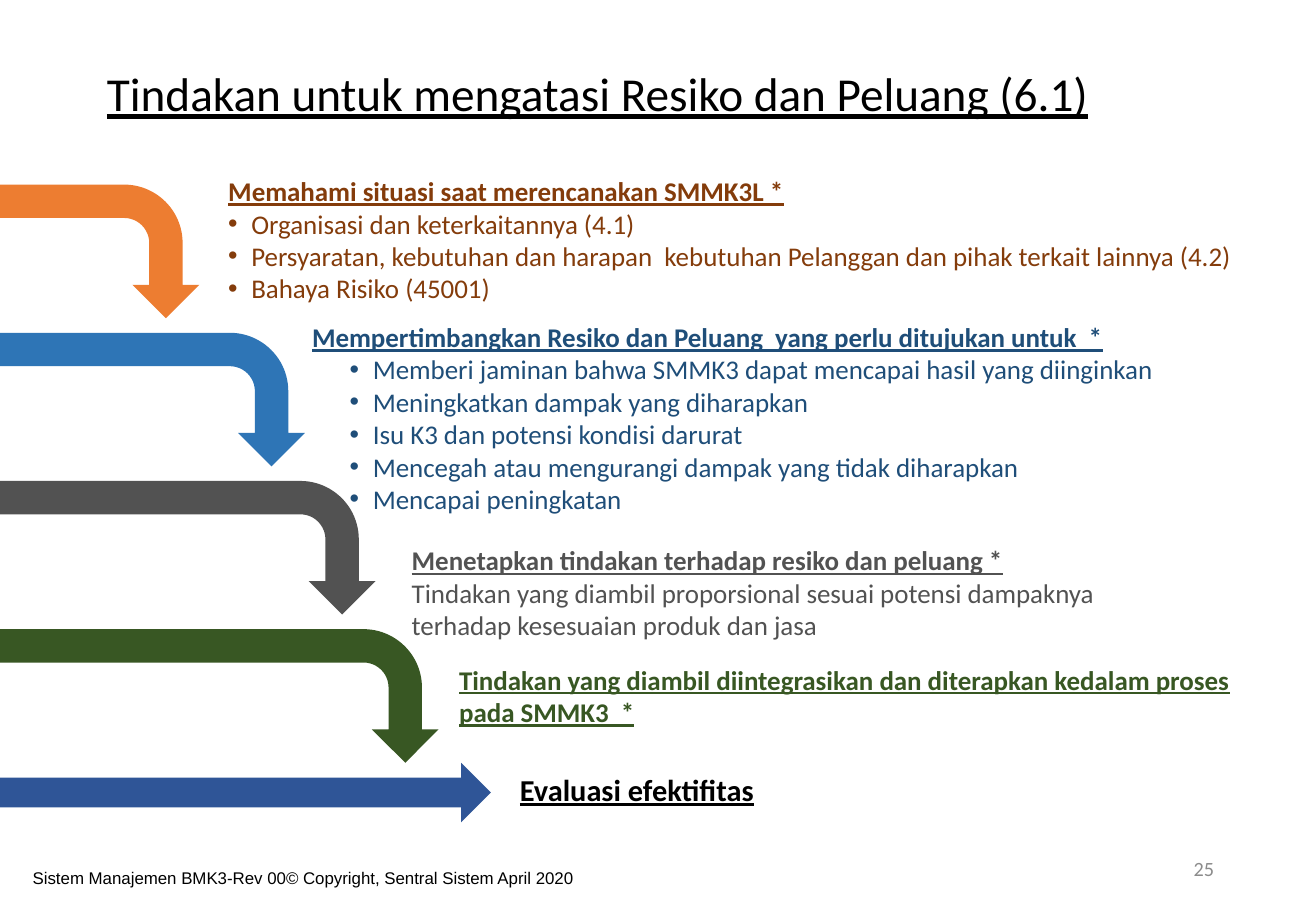
from pptx import Presentation
from pptx.dml.color import RGBColor
from pptx.enum.shapes import MSO_SHAPE
from pptx.enum.text import MSO_ANCHOR, PP_ALIGN
from pptx.util import Inches, Pt
from lxml import etree

BENT, RIGHT_ARROW = MSO_SHAPE.BENT_ARROW, MSO_SHAPE.RIGHT_ARROW
MIDDLE, LEFT, RIGHT = MSO_ANCHOR.MIDDLE, PP_ALIGN.LEFT, PP_ALIGN.RIGHT
A = "{http://schemas.openxmlformats.org/drawingml/2006/main}"
BULLET_HANG = 0.19
ARROW_TOP, ARROW_PITCH, ARROW_HEIGHT = 1.52, 1.22, 1.1


def rgb(color):
    return RGBColor.from_string(color)


def write(tf, lines, size, color, font="Calibri", heading=True, indent=0):
    """Fill a frame; the first line may be a heading, an indent bullets the rest."""
    tf.word_wrap = True
    tf.text = "\n".join(lines)
    for i, p in enumerate(tf.paragraphs):
        if indent and i:
            pPr = p._p.get_or_add_pPr()
            pPr.set("marL", str(Inches(indent)))
            pPr.set("indent", str(-Inches(BULLET_HANG)))
            etree.SubElement(pPr, A + "buFont", typeface="Arial")
            etree.SubElement(pPr, A + "buChar", char="•")
        for r in p.runs:
            r.font.name, r.font.size = font, Pt(size)
            r.font.color.rgb = rgb(color)
            r.font.bold = r.font.underline = heading and i == 0


prs = Presentation()
prs.slide_width, prs.slide_height = Inches(10.83), Inches(7.5)
s = prs.slides.add_slide(prs.slide_layouts[5])

# Title
title = s.shapes.title
title.left, title.top, title.width, title.height = map(Inches, (0.78, 0.17, 9, 1.25))
tf = title.text_frame
tf.vertical_anchor = MIDDLE
write(tf, ["Tindakan untuk mengatasi Resiko dan Peluang (6.1)"], 28, "000000")
p = tf.paragraphs[0]
p.alignment, p.line_spacing = LEFT, 0.9
p.runs[0].font.bold = False

# Steps: left, top, width, height, size, colour, bullet indent, lines
steps = [
    (1.78, 1.39, 9.05, 1.18, 16, "843C0B", 0.19, [
        "Memahami situasi saat merencanakan SMMK3L *",
        "Organisasi dan keterkaitannya (4.1)",
        "Persyaratan, kebutuhan dan harapan  kebutuhan Pelanggan dan pihak terkait lainnya (4.2)",
        "Bahaya Risiko (45001)"]),
    (2.47, 2.59, 7.43, 1.72, 16, "1F4E79", 0.5, [
        "Mempertimbangkan Resiko dan Peluang  yang perlu ditujukan untuk  *",
        "Memberi jaminan bahwa SMMK3 dapat mencapai hasil yang diinginkan",
        "Meningkatkan dampak yang diharapkan",
        "Isu K3 dan potensi kondisi darurat",
        "Mencegah atau mengurangi dampak yang tidak diharapkan",
        "Mencapai peningkatan"]),
    (3.29, 4.43, 6.93, 0.94, 16, "525252", 0, [
        "Menetapkan tindakan terhadap resiko dan peluang *",
        "Tindakan yang diambil proporsional sesuai potensi dampaknya",
        "terhadap kesesuaian produk dan jasa"]),
    (3.68, 5.41, 6.9, 0.64, 16, "385723", 0, [
        "Tindakan yang diambil diintegrasikan dan diterapkan kedalam proses pada SMMK3  *"]),
    (4.18, 6.3, 2.15, 0.4, 18, "000000", 0, ["Evaluasi efektifitas"]),
]
for *box, size, color, indent, lines in steps:
    tf = s.shapes.add_textbox(*map(Inches, box)).text_frame
    write(tf, lines, size, color, indent=indent)

# Arrows: each bent one is turned a quarter, so its length runs from the left edge
arrows = []
for i, (length, color) in enumerate([(1.64, "ED7D31"), (2.51, "2E75B6"),
                                     (3.09, "525252"), (3.61, "385723")]):
    middle = ARROW_TOP + i * ARROW_PITCH + ARROW_HEIGHT / 2
    arrows.append((BENT, (length - ARROW_HEIGHT) / 2, middle - length / 2,
                   ARROW_HEIGHT, length, 90, color))
arrows.append((RIGHT_ARROW, 0, 6.28, 4.04, 0.49, 0, "2F5597"))
for kind, *box, rotation, color in arrows:
    sp = s.shapes.add_shape(kind, *map(Inches, box))
    sp.rotation = rotation
    sp.shadow.inherit = False
    sp.fill.solid()
    sp.fill.fore_color.rgb = rgb(color)
    sp.line.fill.background()

# Footer and page number
tf = s.shapes.add_textbox(*map(Inches, (0.17, 7.09, 5.25, 0.4))).text_frame
write(tf, ["Sistem Manajemen BMK3-Rev 00© Copyright, Sentral Sistem April 2020"],
      10, "000000", font="Arial", heading=False)
tf = s.shapes.add_textbox(*map(Inches, (7.65, 6.95, 2.44, 0.4))).text_frame
tf.vertical_anchor = MIDDLE
write(tf, ["25"], 12, "8C8C8C", heading=False)
tf.paragraphs[0].alignment = RIGHT

prs.save("out.pptx")
